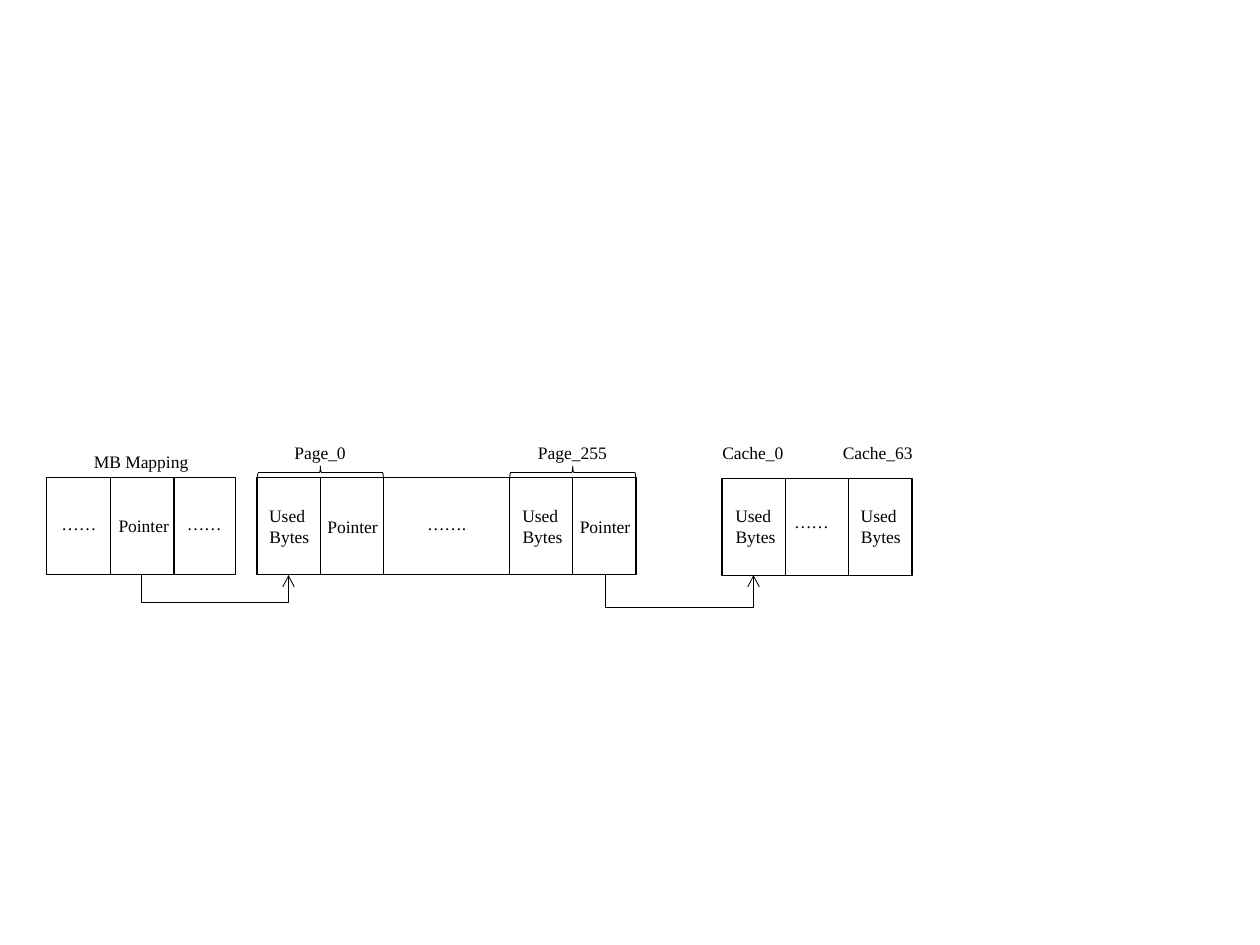
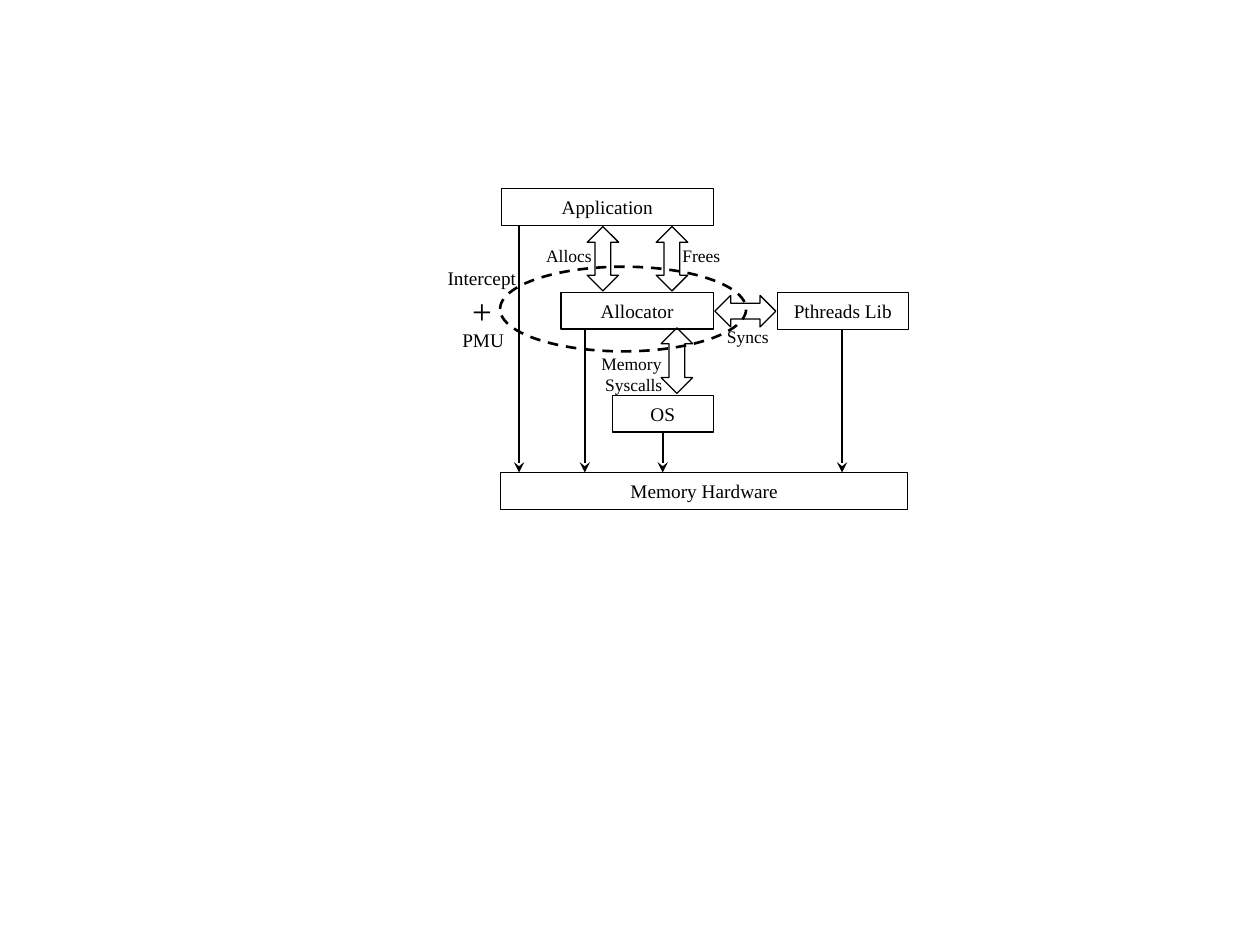
from lxml.etree import SubElement
from pptx import Presentation
from pptx.dml.color import RGBColor
from pptx.enum.dml import MSO_LINE
from pptx.enum.shapes import MSO_CONNECTOR, MSO_SHAPE
from pptx.enum.text import MSO_ANCHOR, MSO_AUTO_SIZE, PP_ALIGN
from pptx.oxml.ns import qn
from pptx.util import Pt

INK = "000000"
FONT = "Times New Roman"
LABEL_SIZE = 10
BOX_SIZE = 11
ELLIPSIS = "……"
USED_BYTES = "Used \nBytes"


def color(hex_string):
    """Turn a hex string into a colour."""
    return RGBColor.from_string(hex_string)


class Diagram:
    """Holds the line and text style and the current slide."""

    def __init__(self, presentation, anchor=MSO_ANCHOR.TOP):
        """Start a blank slide whose labels share one vertical anchor."""
        self.slide = presentation.slides.add_slide(presentation.slide_layouts[6])
        self.shapes = self.slide.shapes
        self.anchor = anchor

    def add_lines(self, frame, text, size):
        """Fill a text frame with centred lines, one paragraph each."""
        for index, line in enumerate(text.split("\n")):
            paragraph = frame.add_paragraph() if index else frame.paragraphs[0]
            paragraph.alignment = PP_ALIGN.CENTER
            run = paragraph.add_run()
            run.text = line
            run.font.size = Pt(size)
            run.font.name = FONT
            run.font.color.rgb = color(INK)

    def outline(self, kind, left, top, width, height, weight=0.75, rotation=0, dash=None):
        """Draw an unfilled preset shape."""
        shape = self.shapes.add_shape(kind, Pt(left), Pt(top), Pt(width), Pt(height))
        shape.shadow.inherit = False
        shape.fill.background()
        shape.line.color.rgb = color(INK)
        shape.line.width = Pt(weight)
        shape.rotation = rotation
        if dash:
            shape.line.dash_style = dash
        return shape

    def box(self, left, top, width, height=21, text=""):
        """Draw a rectangle, with centred text if there is any."""
        shape = self.outline(MSO_SHAPE.RECTANGLE, left, top, width, height)
        if text:
            shape.text_frame.vertical_anchor = MSO_ANCHOR.MIDDLE
            self.add_lines(shape.text_frame, text, BOX_SIZE)

    def label(self, text, left, top, width, size=LABEL_SIZE, wrap=True, inset=7.2, parent=None):
        """Place a free text, on the slide or in a group."""
        lines = text.count("\n") + 1
        height = 7.2 + 1.22 * size * lines
        target = parent.shapes if parent else self.shapes
        textbox = target.add_textbox(Pt(left), Pt(top), Pt(width), Pt(height))
        frame = textbox.text_frame
        frame.word_wrap = wrap
        frame.auto_size = MSO_AUTO_SIZE.SHAPE_TO_FIT_TEXT
        frame.vertical_anchor = self.anchor
        frame.margin_left = frame.margin_right = Pt(inset)
        self.add_lines(frame, text, size)

    def connector(self, kind, start, end, weight, head):
        """Draw a connector with an arrowhead at its end."""
        connector = self.shapes.add_connector(kind, *(Pt(value) for value in start + end))
        connector.line.color.rgb = color(INK)
        connector.line.width = Pt(weight)
        line = connector.line._get_or_add_ln()
        SubElement(line, qn("a:tailEnd"), type=head)
        SubElement(connector._element.spPr, qn("a:effectLst"))
        return connector

    def down_arrow(self, x, top, bottom):
        """Draw a straight arrow downwards."""
        self.connector(MSO_CONNECTOR.STRAIGHT, (x, top), (x, bottom), 1, "stealth")

    def pointer_arrow(self, left, right, top, drop, rise=0.2):
        """Draw an elbow that leaves downwards and comes back up on the right."""
        middle, half_span = (left + right) / 2, (right - left) / 2
        center = top + rise / 2
        # The elbow is laid out upright, then turned by 270 degrees.
        start = (middle + rise / 2, center - half_span)
        end = (middle - rise / 2, center + half_span)
        connector = self.connector(MSO_CONNECTOR.ELBOW, start, end, 0.5, "arrow")
        properties = connector._element.spPr
        properties.find(qn("a:xfrm")).set("rot", str(270 * 60000))
        guides = properties.find(qn("a:prstGeom")).find(qn("a:avLst"))
        SubElement(guides, qn("a:gd"), name="adj1", fmla=f"val {round(drop / rise * 100000)}")

    def brace(self, center, y):
        """Draw a brace that lies over two cells."""
        self.outline(MSO_SHAPE.LEFT_BRACE, center - 3.6, y - 36, 7.2, 72, 0.5, 90)

    def double_arrow(self, left, top, height, rotation=0):
        """Draw a block arrow with two heads."""
        self.outline(MSO_SHAPE.UP_DOWN_ARROW, left, top, 18, height, rotation=rotation)


def build_mapping(presentation):
    """Slide 1: the mapping cells that point to pages and caches."""
    diagram = Diagram(presentation)
    cell, row_top, row_height = 36.2, 273, 55.4
    caption_top, text_top, bytes_top = 249, 289.4, 285.1

    mapping_left = 26.6
    diagram.box(mapping_left, row_top, 108, row_height)
    diagram.box(63.2, row_top, cell, row_height)
    diagram.label("MB Mapping", mapping_left, 254.2, 108)
    diagram.label(ELLIPSIS, 27.4, text_top, 35.3)
    diagram.label("Pointer", 57.6, 290.9, 49)
    diagram.label(ELLIPSIS, 99.4, text_top, 34.6, wrap=False)

    for name, left, bytes_left in (("Page_0", 146.9, 146.2), ("Page_255", 291.1, 290.9)):
        diagram.box(left, row_top, cell, row_height)
        diagram.box(left + cell, row_top, cell, row_height)
        diagram.brace(left + cell, 270)
        diagram.label(name, left, caption_top, 72, inset=0)
        diagram.label(USED_BYTES, bytes_left, bytes_top, 38.2, wrap=False)
        diagram.label("Pointer", left + cell + 0.4, 291.6, 36, inset=0)
    diagram.box(219, row_top, 72, row_height)
    diagram.label(ELLIPSIS + ".", 219.6, text_top, 71.3)

    for index in range(3):
        diagram.box(412.6 + index * cell, row_top + 0.5, cell, row_height)
    diagram.label("Cache_0", 411.1, caption_top, 38.2, inset=0)
    diagram.label("Cache_63", 478.8, caption_top, 45.4, inset=0)
    diagram.label(USED_BYTES, 412.6, bytes_top, 38.2, wrap=False)
    diagram.label(ELLIPSIS, 446.4, 288.7, 34.6, wrap=False)
    diagram.label(USED_BYTES, 482.4, bytes_top, 41.8)

    row_bottom = row_top + row_height
    diagram.pointer_arrow(81, 164.9, row_bottom, 15.8)
    diagram.pointer_arrow(345.9, 430.6, row_bottom, 18.7)


def build_layers(presentation):
    """Slide 2: the allocator between application, system and hardware."""
    diagram = Diagram(presentation, MSO_ANCHOR.MIDDLE)
    for text, left, top, width in (
        ("Application", 286.4, 107.8, 121.2),
        ("Allocator", 320.6, 167, 87),
        ("OS", 350, 225.8, 57.6),
        ("Pthreads Lib", 444.2, 167.2, 74.9),
        ("Memory Hardware", 286, 270, 232.8),
    ):
        diagram.box(left, top, width, text=text)

    diagram.double_arrow(335.5, 129.5, 36.8)
    diagram.double_arrow(375, 129.5, 36.8)
    diagram.double_arrow(377.8, 187.4, 37.4)
    diagram.double_arrow(416.9, 160.4, 34.8, rotation=90)

    for text, left, top, width in (
        ("Allocs", 302.4, 136.1, 45.4),
        ("Frees", 378, 136.1, 45.4),
        ("Memory \nSyscalls", 336.2, 198, 51.8),
        ("Syncs", 404.6, 182.9, 45.4),
    ):
        diagram.label(text, left, top, width)

    diagram.outline(MSO_SHAPE.OVAL, 285.8, 152.4, 140.6, 48.4, 1.5, dash=MSO_LINE.DASH)
    monitor = diagram.shapes.add_group_shape()
    for text, left, top, width, size in (
        ("Intercept", 247.7, 148.6, 55.4, BOX_SIZE),
        ("+", 240.5, 161.6, 69.8, 20),
        ("PMU", 238.3, 183.6, 75.6, BOX_SIZE),
    ):
        diagram.label(text, left, top, width, size, parent=monitor)

    for x, top in ((378.7, 247), (481.2, 188.2), (334.2, 188), (296.6, 128.9)):
        diagram.down_arrow(x, top, 270)


def main():
    """Build both slides and save them."""
    presentation = Presentation()
    presentation.slide_width, presentation.slide_height = Pt(720), Pt(540)
    build_mapping(presentation)
    build_layers(presentation)
    presentation.save("out.pptx")


main()
